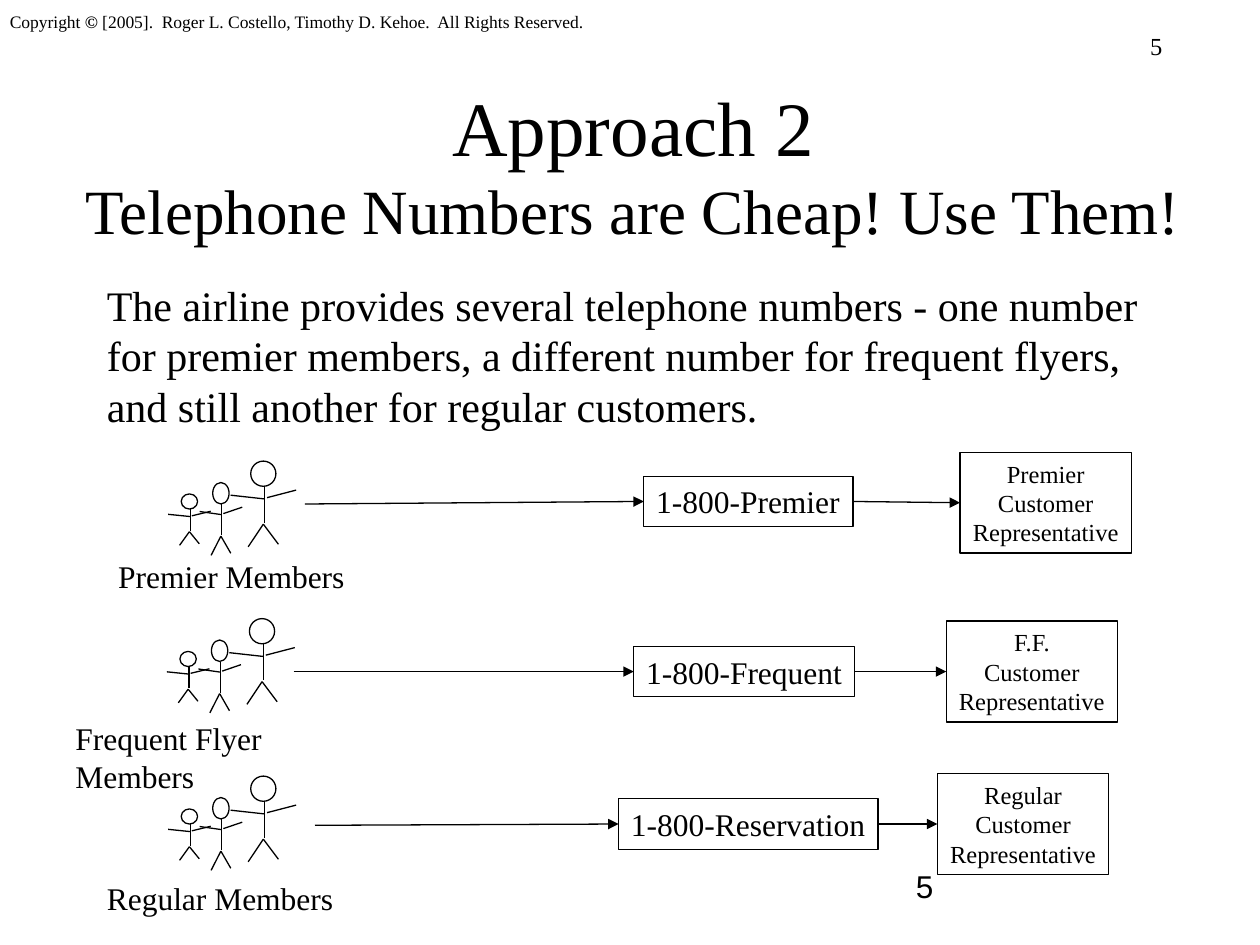
from dataclasses import dataclass

from lxml import etree
from pptx import Presentation
from pptx.dml.color import RGBColor
from pptx.enum import shapes, text
from pptx.oxml import ns
from pptx.util import Inches, Pt

SERIF = "Times New Roman"
LEFT, CENTER = text.PP_ALIGN.LEFT, text.PP_ALIGN.CENTER

# Stick figure of an adult, measured from the neck: (x1, y1, x2, y2)
LIMBS = [
    (0, 0, 0, 0.29),
    (-0.01, 0.3, -0.13, 0.48),
    (-0.01, 0.3, 0.11, 0.46),
    (0, 0.1, -0.27, 0.07),
    (0.02, 0.09, 0.25, 0.03),
]
HEAD = 0.2
# Neck position in the first row, then horizontal and vertical scale
FAMILY = [(2.1, 3.86, 1, 1), (1.51, 4.04, 0.65, 0.6), (1.76, 4, 0.65, 0.85)]
ROW_STEP = 1.25

# shift of the family, caption, caption place, start of the call,
# number, number box, representative, representative box
ROWS = [
    (0, "Premier Members", (0.84, 4.37, 2, 0.4), (2.42, 4),
     "1-800-Premier", (5.11, 3.78, 1.66, 0.4), "Premier", (7.62, 3.59, 1.36, 0.8)),
    (-0.01, "Frequent Flyer Members", (0.5, 5.66, 2.68, 0.4), (2.33, 5.33),
     "1-800-Frequent", (5.03, 5.13, 1.75, 0.4), "F.F.", (7.51, 4.93, 1.36, 0.8)),
    (0, "Regular Members", (0.75, 6.93, 2, 0.4), (2.5, 6.55),
     "1-800-Reservation", (4.91, 6.34, 2.06, 0.4), "Regular", (7.44, 6.14, 1.36, 0.8)),
]


def color(value):
    return RGBColor.from_string(value)


def inches(values):
    return [Inches(value) for value in values]


@dataclass
class Sketch:
    """Draws elements in one style on the current slide."""

    slide: object
    ink: str = "000000"
    line_width: float = 0.75

    def add_span(self, para, words, size, font=SERIF, bold=False):
        span = para.add_run()
        span.text = words
        span.font.size = Pt(size)
        span.font.name = font
        span.font.bold = bold
        span.font.color.rgb = color(self.ink)

    def fill_frame(self, frame, lines, size, font=SERIF, align=LEFT, wrap=False):
        frame.word_wrap = wrap
        frame.vertical_anchor = text.MSO_ANCHOR.TOP
        for index, words in enumerate(lines):
            para = frame.add_paragraph() if index else frame.paragraphs[0]
            para.alignment = align
            self.add_span(para, words, size, font)

    def title(self, place, lines):
        """Puts (words, size) lines in the title, parted by line breaks."""
        box = self.slide.shapes.title
        box.left, box.top, box.width, box.height = inches(place)
        box.text_frame.auto_size = text.MSO_AUTO_SIZE.NONE
        box.text_frame.vertical_anchor = text.MSO_ANCHOR.MIDDLE
        para = box.text_frame.paragraphs[0]
        para.alignment = CENTER
        for index, (words, size) in enumerate(lines):
            if index:
                para.add_line_break()
            self.add_span(para, words, size)

    def label(self, place, lines, size, **options):
        box = self.slide.shapes.add_textbox(*inches(place))
        self.fill_frame(box.text_frame, lines, size, **options)
        return box

    def outline(self, parent, kind, place):
        shape = parent.add_shape(kind, *inches(place))
        shape.shadow.inherit = False
        shape.fill.background()
        shape.line.color.rgb = color(self.ink)
        shape.line.width = Pt(self.line_width)
        return shape

    def box(self, place, lines, size, align=LEFT):
        shape = self.outline(self.slide.shapes, shapes.MSO_SHAPE.RECTANGLE, place)
        self.fill_frame(shape.text_frame, lines, size, align=align)
        return shape

    def line(self, parent, ends):
        line = parent.add_connector(shapes.MSO_CONNECTOR.STRAIGHT, *inches(ends))
        line.line.color.rgb = color(self.ink)
        line.line.width = Pt(self.line_width)
        etree.SubElement(line._element.spPr, ns.qn("a:effectLst"))
        return line

    def arrow(self, start, target, source=None):
        """Points at the left side of target, from a point or a box's right side."""
        arrow = self.line(self.slide.shapes, (*start, *start))
        if source is not None:
            arrow.begin_connect(source, 3)
        arrow.end_connect(target, 1)
        etree.SubElement(arrow.line._get_or_add_ln(), ns.qn("a:tailEnd"), type="triangle")

    def person(self, x, y, wide, tall):
        group = self.slide.shapes.add_group_shape().shapes
        head = (x - 0.11 * wide, y - HEAD * tall, HEAD * wide, HEAD * tall)
        self.outline(group, shapes.MSO_SHAPE.OVAL, head)
        for x1, y1, x2, y2 in LIMBS:
            self.line(group, (x + x1 * wide, y + y1 * tall, x + x2 * wide, y + y2 * tall))


def main():
    deck = Presentation()
    deck.slide_width, deck.slide_height = Inches(10), Inches(7.5)
    sketch = Sketch(deck.slides.add_slide(deck.slide_layouts[5]))

    sketch.label((9.03, 0.2, 1.01, 0.34), ["5"], 14)
    notice = sketch.label((-0.02, -0.16, 4.85, 0.5), ["Copyright "], 10)
    para = notice.text_frame.paragraphs[0]
    sketch.add_span(para, "©", 10, bold=True)
    sketch.add_span(para, " [2005].  Roger L. Costello, Timothy D. Kehoe.  All Rights Reserved.", 10)
    sketch.add_span(para, " ", 24)

    sketch.title((0.53, 0.67, 8.99, 1.25),
                 [("Approach 2", 44), ("Telephone Numbers are Cheap! Use Them!", 36)])
    sketch.label((0.75, 2.17, 8.5, 1.33), [
        "The airline provides several telephone numbers - one number for premier members, "
        "a different number for frequent flyers, and still another for regular customers."
    ], 24, wrap=True).text_frame.paragraphs[0].space_before = Pt(6)

    for row, (shift, caption, caption_place, start, number, number_place,
              group, desk_place) in enumerate(ROWS):
        for x, y, wide, tall in FAMILY:
            sketch.person(x + shift, y + row * ROW_STEP, wide, tall)
        sketch.label(caption_place, [caption], 18)
        phone = sketch.box(number_place, [number], 18)
        desk = sketch.box(desk_place, [group, "Customer", "Representative"], 14, CENTER)
        sketch.arrow(start, phone)
        sketch.arrow(start, desk, source=phone)

    sketch.label((7.17, 6.83, 2.08, 0.5), ["5"], 18, font="Arial", wrap=True)
    deck.save("out.pptx")


if __name__ == "__main__":
    main()
